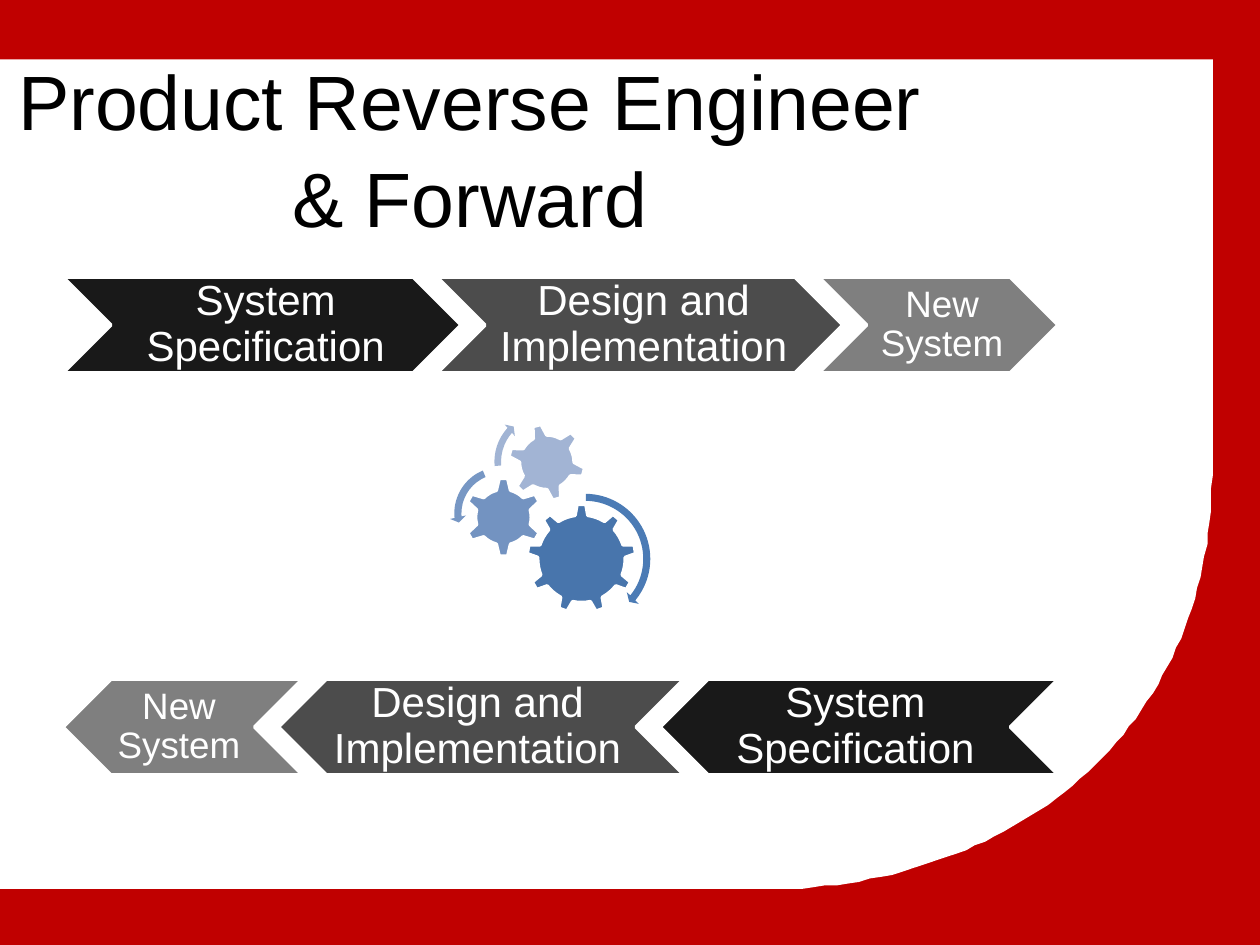
import pptx
import pptx.dml.color
import pptx.enum.shapes
import pptx.enum.text
import pptx.oxml.ns
import pptx.util
from lxml import etree

Pt = pptx.util.Pt
SHAPE = pptx.enum.shapes.MSO_SHAPE
FONT = "Arial"

COLORS = {
    "red": "C00000",
    "white": "FFFFFF",
    "black": "000000",
    "large gear": "4875AC",
    "middle gear": "7393C1",
    "small gear": "A2B4D4",
    "large arrow": "4B7BB5",
    "middle arrow": "7797C4",
    "small arrow": "A1B4D4",
}

# text, width, font size, opacity in percent, wide inset, narrow inset
STEPS = [
    ("System Specification", 227.5, 24, 90, 7.2, 2.9),
    ("Design and Implementation", 231.8, 24, 70, 7.2, 2.9),
    ("New System", 136.8, 21, 50, 6.4, 2.2),
]
ROW_LEFT = 36
STEP_HEIGHT = 54.7
STEP_OVERLAP = 13.7
NOTCH = STEP_HEIGHT / 2

# preset, left, top, size, rotation, color
GEARS = [
    (SHAPE.GEAR_9, 301, 288, 62.6, 0, "large gear"),
    (SHAPE.GEAR_6, 265, 272.9, 45.4, 0, "middle gear"),
    (SHAPE.GEAR_6, 290.2, 241.9, 44.6, 345, "small gear"),
]
# preset, left, top, size, color, adjustments
TURN_ARROWS = [
    (SHAPE.CIRCULAR_ARROW, 294.5, 279.4, 79.9, "large arrow",
     (0.05, 2.99, 23.66, 162.36, 0.06)),
    (SHAPE.LEFT_CIRCULAR_ARROW, 257, 264.2, 58.3, "middle arrow",
     (0.07, 4.3, 104.89, 148.38, 0.08)),
    (SHAPE.CIRCULAR_ARROW, 280.1, 232.6, 62.6, "small arrow",
     (0.06, 3.94, 133.14, 105.08, 0.07)),
]


def rgb(name):
    return pptx.dml.color.RGBColor.from_string(COLORS[name])


def paint(shape, fill, outline=None, opacity=100):
    shape.shadow.inherit = False
    shape.fill.solid()
    shape.fill.fore_color.rgb = rgb(fill)
    if opacity < 100:
        qualified = pptx.oxml.ns.qn
        color = shape.fill._xPr.find(qualified("a:solidFill"))[0]
        alpha = etree.SubElement(color, qualified("a:alpha"))
        alpha.set("val", str(opacity * 1000))
    if outline:
        shape.line.color.rgb = rgb(outline)
        shape.line.width = Pt(2)
    else:
        shape.line.fill.background()


def add_preset(shapes, preset, left, top, width, height):
    return shapes.add_shape(preset, Pt(left), Pt(top), Pt(width), Pt(height))


def add_text(shapes, text, box, size, color, insets, anchor, spacing):
    """Add centred text; insets run left, top, right, bottom."""
    text_box = shapes.add_textbox(*[Pt(length) for length in box])
    frame = text_box.text_frame
    frame.text = text
    frame.word_wrap = True
    frame.vertical_anchor = anchor
    (frame.margin_left, frame.margin_top,
     frame.margin_right, frame.margin_bottom) = [Pt(inset) for inset in insets]
    paragraph = frame.paragraphs[0]
    paragraph.alignment = pptx.enum.text.PP_ALIGN.CENTER
    paragraph.line_spacing = spacing
    font = paragraph.runs[0].font
    font.name = FONT
    font.size = Pt(size)
    font.color.rgb = rgb(color)


def curve_points(start, control_1, control_2, end, count=60):
    """Points along a cubic curve, without its start."""
    points = []
    for index in range(1, count + 1):
        t = index / count
        weights = ((1 - t) ** 3, 3 * t * (1 - t) ** 2, 3 * t ** 2 * (1 - t), t ** 3)
        corners = (start, control_1, control_2, end)
        points.append(tuple(
            sum(weight * corner[axis] for weight, corner in zip(weights, corners))
            for axis in (0, 1)))
    return points


def add_page_panel(slide):
    """White panel with a swept lower right corner."""
    top, right, bottom = 33.8, 692.6, 507.6
    curve_start = (right, 272.2)
    curve = curve_points(curve_start, (691.9, 407.5), (593.3, 498.2), (457.9, bottom))
    builder = slide.shapes.build_freeform(-0.7, top, scale=Pt(1))
    builder.add_line_segments(
        [(right, top), curve_start] + curve + [(0, bottom)], close=True)
    paint(builder.convert_to_shape(), "white")


def add_step_row(slide, top, reverse=False):
    shapes = slide.shapes.add_group_shape().shapes
    left = ROW_LEFT
    for text, width, size, opacity, wide, narrow in (STEPS[::-1] if reverse else STEPS):
        chevron = add_preset(shapes, SHAPE.CHEVRON, left, top, width, STEP_HEIGHT)
        chevron.rotation = 180 if reverse else 0
        paint(chevron, "black", "white", opacity)
        insets = (narrow, narrow, wide, narrow) if reverse else (wide, narrow, narrow, narrow)
        add_text(shapes, text, (left + NOTCH, top, width - 2 * NOTCH, STEP_HEIGHT),
                 size, "white", insets, pptx.enum.text.MSO_ANCHOR.MIDDLE, 0.9)
        left += width - STEP_OVERLAP


def add_gears(slide):
    shapes = slide.shapes.add_group_shape().shapes
    for preset, left, top, size, rotation, color in GEARS:
        gear = add_preset(shapes, preset, left, top, size, size)
        gear.rotation = rotation
        paint(gear, color, "white")
    for preset, left, top, size, color, adjustments in TURN_ARROWS:
        arrow = add_preset(shapes, preset, left, top, size, size)
        for index, value in enumerate(adjustments):
            arrow.adjustments[index] = value
        paint(arrow, color)


def main():
    presentation = pptx.Presentation()
    presentation.slide_width = Pt(720)
    presentation.slide_height = Pt(540)
    slide = presentation.slides.add_slide(presentation.slide_layouts[6])
    slide.background.fill.solid()
    slide.background.fill.fore_color.rgb = rgb("red")

    add_page_panel(slide)
    add_text(slide.shapes, "Product Reverse Engineer & Forward",
             (-15.8, 24.5, 568.8, 90), 44, "black", (7.2, 3.6, 7.2, 3.6),
             pptx.enum.text.MSO_ANCHOR.TOP, 1.05)
    add_step_row(slide, 158.4)
    add_gears(slide)
    add_step_row(slide, 388.1, reverse=True)
    presentation.save("out.pptx")


if __name__ == "__main__":
    main()
